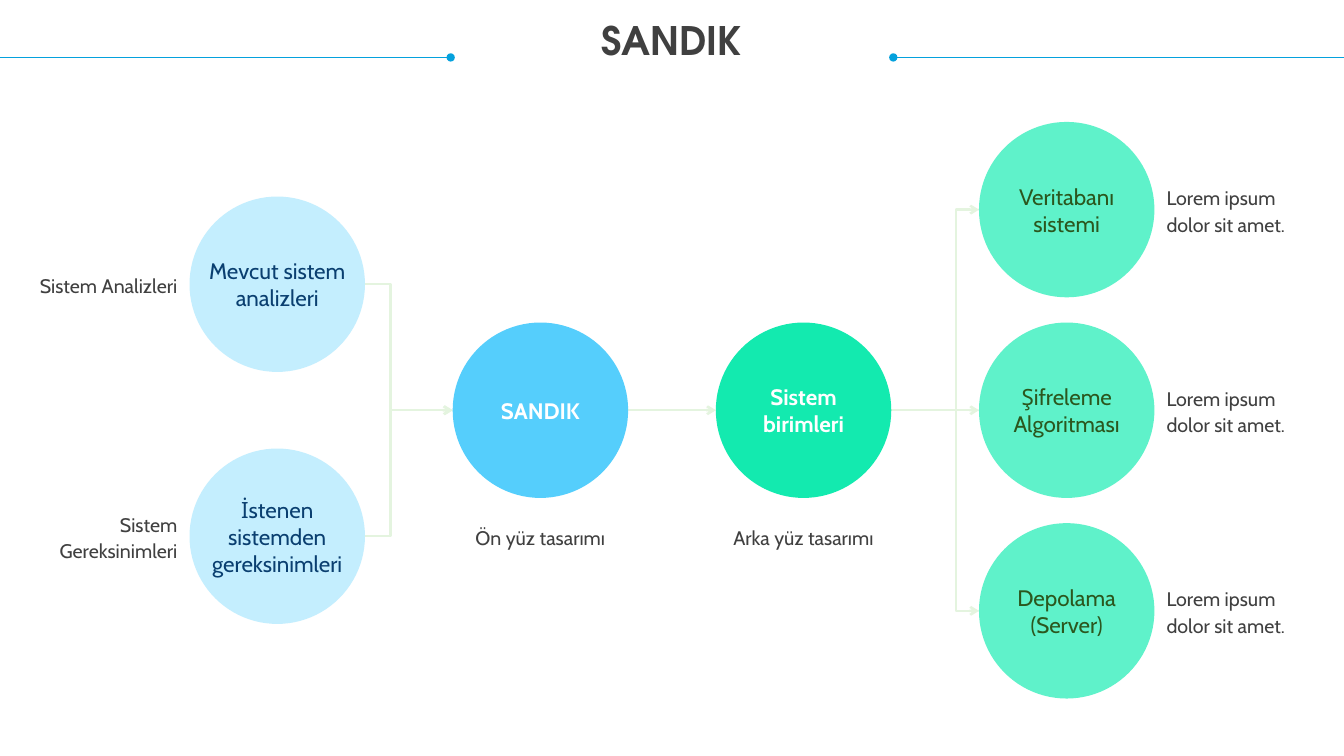
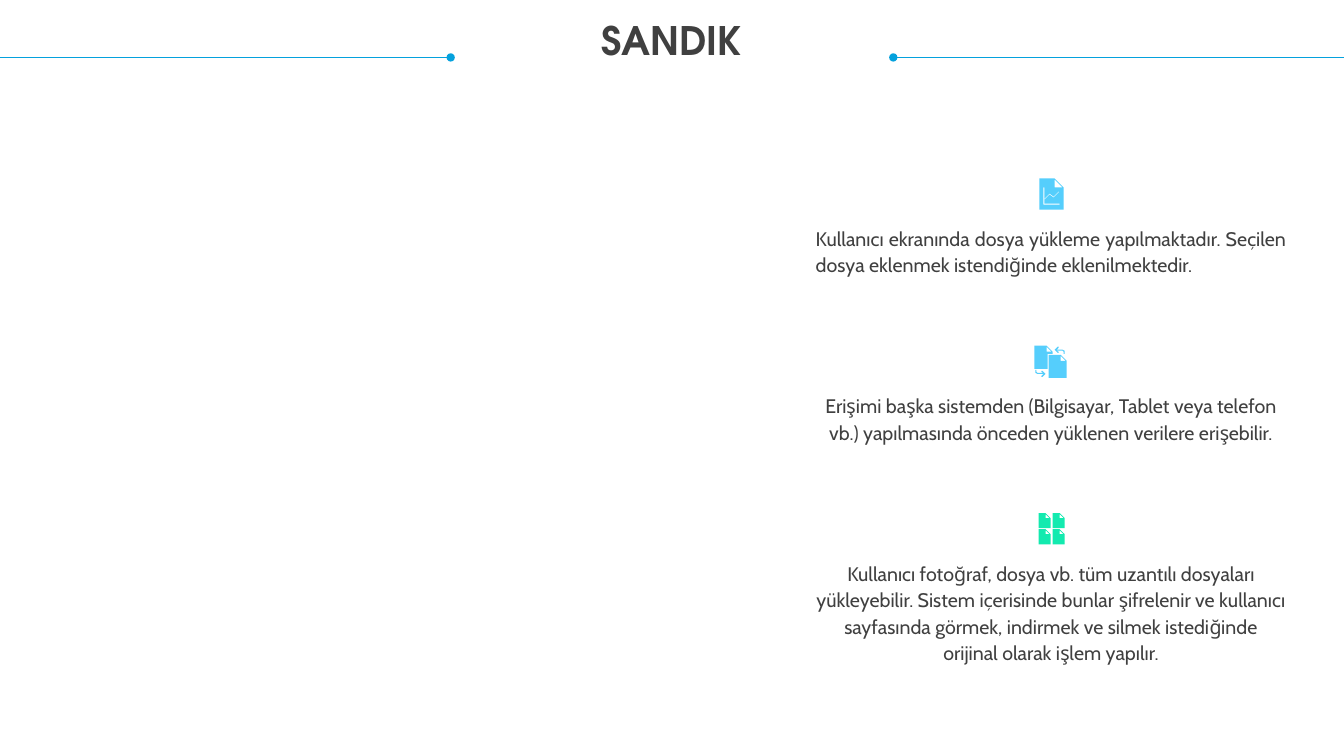
from lxml import etree
from pptx import Presentation
from pptx.dml.color import RGBColor
from pptx.enum.shapes import MSO_CONNECTOR, MSO_SHAPE
from pptx.enum.text import MSO_ANCHOR, MSO_AUTO_SIZE, PP_ALIGN
from pptx.oxml.ns import qn
from pptx.util import Inches, Pt

STRAIGHT, ELBOW = MSO_CONNECTOR.STRAIGHT, MSO_CONNECTOR.ELBOW
OVAL = MSO_SHAPE.OVAL
TOP, MIDDLE = MSO_ANCHOR.TOP, MSO_ANCHOR.MIDDLE
LEFT, CENTER, RIGHT = PP_ALIGN.LEFT, PP_ALIGN.CENTER, PP_ALIGN.RIGHT
JUSTIFY = PP_ALIGN.JUSTIFY

GRAY = RGBColor(0x40, 0x40, 0x40)
WHITE = RGBColor(0xFF, 0xFF, 0xFF)
RULE_BLUE = RGBColor(0x04, 0xA1, 0xDD)
PALE_BLUE = RGBColor(0xC4, 0xEE, 0xFE)
SKY_BLUE = RGBColor(0x55, 0xCE, 0xFC)
NAVY = RGBColor(0x0A, 0x3F, 0x70)
GREEN = RGBColor(0x13, 0xEA, 0xAF)
MINT = RGBColor(0x5F, 0xF2, 0xCA)
DARK_GREEN = RGBColor(0x2B, 0x57, 0x1E)
FLOW_GREEN = RGBColor(0xE4, 0xF4, 0xDF)

TITLE_FONT, BODY_FONT = "TeX Gyre Adventor", "Cabin"
SLIDE_W, SLIDE_H = 13.33, 7.5

# Flow diagram grid: circle centres, in inches
DIAMETER = 1.74
RADIUS = DIAMETER / 2
COLUMNS = [2.75 + 2.61 * i for i in range(4)]
MID_ROW = 4.07
INPUT_ROWS = [MID_ROW - 1.25, MID_ROW + 1.25]
UNIT_ROWS = [MID_ROW - 1.99, MID_ROW, MID_ROW + 1.99]
CAPTION_W, CAPTION_H = 1.47, 0.51
CAPTION_OFFSET = RADIUS + 0.12 + CAPTION_W / 2

# Feature list
FEATURE_X, FEATURE_W = 8.09, 4.67
FEATURE_TOP, FEATURE_PITCH = 1.77, 1.66
LINE_H = 0.265

# Icon outlines, in hundredths of an inch from the icon's top left corner
AXES = [(4, 9), (5, 9), (5, 25), (20, 25), (20, 26), (4, 26)]
TREND = [(5, 20), (10, 15), (14, 18), (19, 13), (20, 13), (14, 19), (10, 16), (5, 21)]
BACK_PAGE = [(0, 0), (12, 0), (18, 6), (18, 8), (13, 8), (13, 23), (0, 23)]
BACK_FOLD = [(12, 6), (12, 1), (17, 6)]
RETURN_ARROW = [(20, 4), (23, 1), (24, 1), (24, 2), (22, 4), (28, 4), (30, 5), (30, 8),
                (29, 8), (29, 6), (28, 5), (22, 5), (24, 6), (24, 7), (23, 7)]


def write(frame, text, size, color, align, anchor, font=BODY_FONT, bold=False, spacing=None):
    frame.word_wrap = True
    frame.auto_size = MSO_AUTO_SIZE.NONE
    frame.vertical_anchor = anchor
    frame.margin_left = frame.margin_right = frame.margin_top = frame.margin_bottom = 0
    paragraph = frame.paragraphs[0]
    paragraph.alignment = align
    paragraph.line_spacing = spacing
    run = paragraph.add_run()
    run.text = text
    run.font.name, run.font.size, run.font.bold = font, Pt(size), bold
    run.font.color.rgb = color


def add_text(slide, box, *style, **options):
    textbox = slide.shapes.add_textbox(*map(Inches, box))
    write(textbox.text_frame, *style, **options)


def centered(x, y, width, height):
    return x - width / 2, y - height / 2, width, height


def paint(shape, color):
    shape.shadow.inherit = False
    shape.fill.solid()
    shape.fill.fore_color.rgb = color
    shape.line.fill.background()


def add_line(slide, start, end, color, width, tail, kind=STRAIGHT, bend=None):
    """Line with an end mark; bend is the elbow's place as a share of its width."""
    line = slide.shapes.add_connector(kind, *map(Inches, (*start, *end)))
    line.line.color.rgb = color
    line.line.width = Pt(width)
    etree.SubElement(line.get_or_add_ln(), qn("a:tailEnd"), type=tail)
    properties = line.element.spPr
    etree.SubElement(properties, qn("a:effectLst"))
    if bend is not None:
        adjustments = properties.find(qn("a:prstGeom")).find(qn("a:avLst"))
        etree.SubElement(adjustments, qn("a:gd"), name="adj1", fmla=f"val {round(bend * 100000)}")


def add_titled_slide(deck, title):
    slide = deck.slides.add_slide(deck.slide_layouts[5])
    heading = slide.shapes.title
    heading.left, heading.top, heading.width, heading.height = map(Inches, (0.25, 0.21, 12.83, 0.42))
    write(heading.text_frame, title, 28, GRAY, CENTER, TOP, TITLE_FONT, True, 0.9)
    for edge, inner in ((0, 4.47), (SLIDE_W, SLIDE_W - 4.47)):
        add_line(slide, (edge, 0.57), (inner, 0.57), RULE_BLUE, 0.5, "oval")
    return slide


def add_node(slide, x, y, label, fill, color, bold=False):
    paint(slide.shapes.add_shape(OVAL, *map(Inches, centered(x, y, DIAMETER, DIAMETER))), fill)
    add_text(slide, centered(x, y, 1.5, 0.81), label, 16, color, CENTER, MIDDLE, bold=bold)


def add_caption(slide, x, y, text, align):
    add_text(slide, centered(x, y, CAPTION_W, CAPTION_H), text, 14, GRAY, align, MIDDLE,
             spacing=Pt(19))


def add_flow(slide, column, from_row, to_row, bend):
    """Arrow from a circle in one column to a circle in the next."""
    start = COLUMNS[column] + RADIUS, from_row
    end = COLUMNS[column + 1] - RADIUS, to_row
    if from_row == to_row:
        add_line(slide, start, end, FLOW_GREEN, 1.75, "arrow")
    else:
        add_line(slide, start, end, FLOW_GREEN, 1.75, "arrow", ELBOW, bend)


def add_outlines(shapes, left, top, outlines, color):
    """One freeform of several closed outlines; inner outlines cut holes."""
    placed = [[(round(left * 100) + x, round(top * 100) + y) for x, y in outline]
              for outline in outlines]
    builder = shapes.build_freeform(*placed[0][0], scale=Inches(0.01))
    builder.add_line_segments(placed[0][1:], close=True)
    for first, *rest in placed[1:]:
        builder.move_to(*first)
        builder.add_line_segments(rest, close=True)
    paint(builder.convert_to_shape(), color)


def page(width, height, fold):
    """Outlines of a sheet and of its turned corner."""
    crease = width - fold
    sheet = [(0, 0), (crease, 0), (width, fold), (width, height), (0, height)]
    return [sheet, [(crease, fold), (crease, 1), (width - 1, fold)]]


def add_chart_icon(slide, center, top):
    add_outlines(slide.shapes, center - 0.12, top, [*page(24, 31, 9), AXES, TREND], SKY_BLUE)


def add_transfer_icon(slide, center, top):
    shapes = slide.shapes.add_group_shape().shapes
    left = center - 0.16
    opposite_arrow = [(31 - x, 32 - y) for x, y in RETURN_ARROW]
    for outlines in ([BACK_PAGE, BACK_FOLD], [RETURN_ARROW], [opposite_arrow]):
        add_outlines(shapes, left, top, outlines, SKY_BLUE)
    add_outlines(shapes, left + 0.14, top + 0.09, page(18, 23, 6), SKY_BLUE)


def add_files_icon(slide, center, top):
    shapes = slide.shapes.add_group_shape().shapes
    for row in range(2):
        for column in range(2):
            add_outlines(shapes, center - 0.13 + 0.14 * column, top + 0.16 * row,
                         page(12, 15, 5), GREEN)


def add_flow_slide(deck):
    slide = add_titled_slide(deck, "SANDIK")
    inputs = [("Mevcut sistem analizleri", "Sistem Analizleri"),
              ("İstenen sistemden gereksinimleri", "Sistem Gereksinimleri")]
    stages = [("SANDIK", "Ön yüz tasarımı", SKY_BLUE),
              ("Sistem birimleri", "Arka yüz tasarımı", GREEN)]
    units = ["Veritabanı sistemi", "Şifreleme Algoritması", "Depolama (Server)"]

    for row in INPUT_ROWS:
        add_flow(slide, 0, row, MID_ROW, 0.29)
    add_flow(slide, 1, MID_ROW, MID_ROW, None)
    for row in UNIT_ROWS:
        add_flow(slide, 2, MID_ROW, row, 0.74)

    for row, (label, caption) in zip(INPUT_ROWS, inputs):
        add_node(slide, COLUMNS[0], row, label, PALE_BLUE, NAVY)
        add_caption(slide, COLUMNS[0] - CAPTION_OFFSET, row, caption, RIGHT)
    for x, (label, caption, fill) in zip(COLUMNS[1:3], stages):
        add_node(slide, x, MID_ROW, label, fill, WHITE, bold=True)
        add_caption(slide, x, INPUT_ROWS[1], caption, CENTER)
    for row, label in zip(UNIT_ROWS, units):
        add_node(slide, COLUMNS[3], row, label, MINT, DARK_GREEN)
        add_caption(slide, COLUMNS[3] + CAPTION_OFFSET, row, "Lorem ipsum dolor sit amet.", LEFT)


def add_feature_slide(deck):
    slide = add_titled_slide(deck, "SANDIK")
    features = [
        (add_chart_icon, JUSTIFY, 2,
         "Kullanıcı ekranında dosya yükleme yapılmaktadır. Seçilen dosya eklenmek "
         "istendiğinde eklenilmektedir."),
        (add_transfer_icon, CENTER, 2,
         "Erişimi başka sistemden (Bilgisayar, Tablet veya telefon vb.) yapılmasında "
         "önceden yüklenen verilere erişebilir."),
        (add_files_icon, CENTER, 4,
         "Kullanıcı fotoğraf, dosya vb. tüm uzantılı dosyaları yükleyebilir. Sistem "
         "içerisinde bunlar şifrelenir ve kullanıcı sayfasında görmek, indirmek ve silmek "
         "istediğinde orijinal olarak işlem yapılır."),
    ]
    for index, (add_icon, align, lines, description) in enumerate(features):
        top = FEATURE_TOP + FEATURE_PITCH * index
        add_icon(slide, FEATURE_X + FEATURE_W / 2, top)
        add_text(slide, (FEATURE_X, top + 0.45, FEATURE_W, LINE_H * lines), description, 14,
                 GRAY, align, TOP, spacing=Pt(19))


def main():
    deck = Presentation()
    deck.slide_width, deck.slide_height = Inches(SLIDE_W), Inches(SLIDE_H)
    add_flow_slide(deck)
    add_feature_slide(deck)
    deck.save("out.pptx")


if __name__ == "__main__":
    main()
